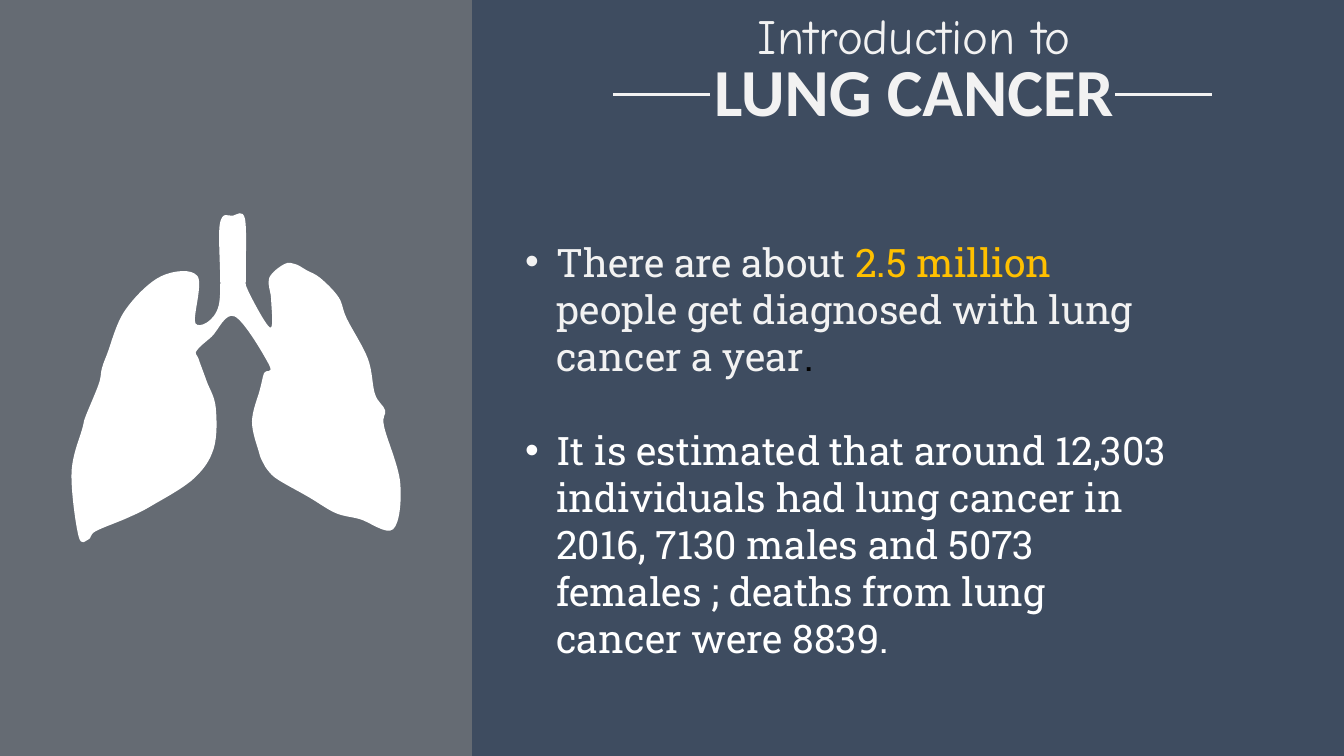
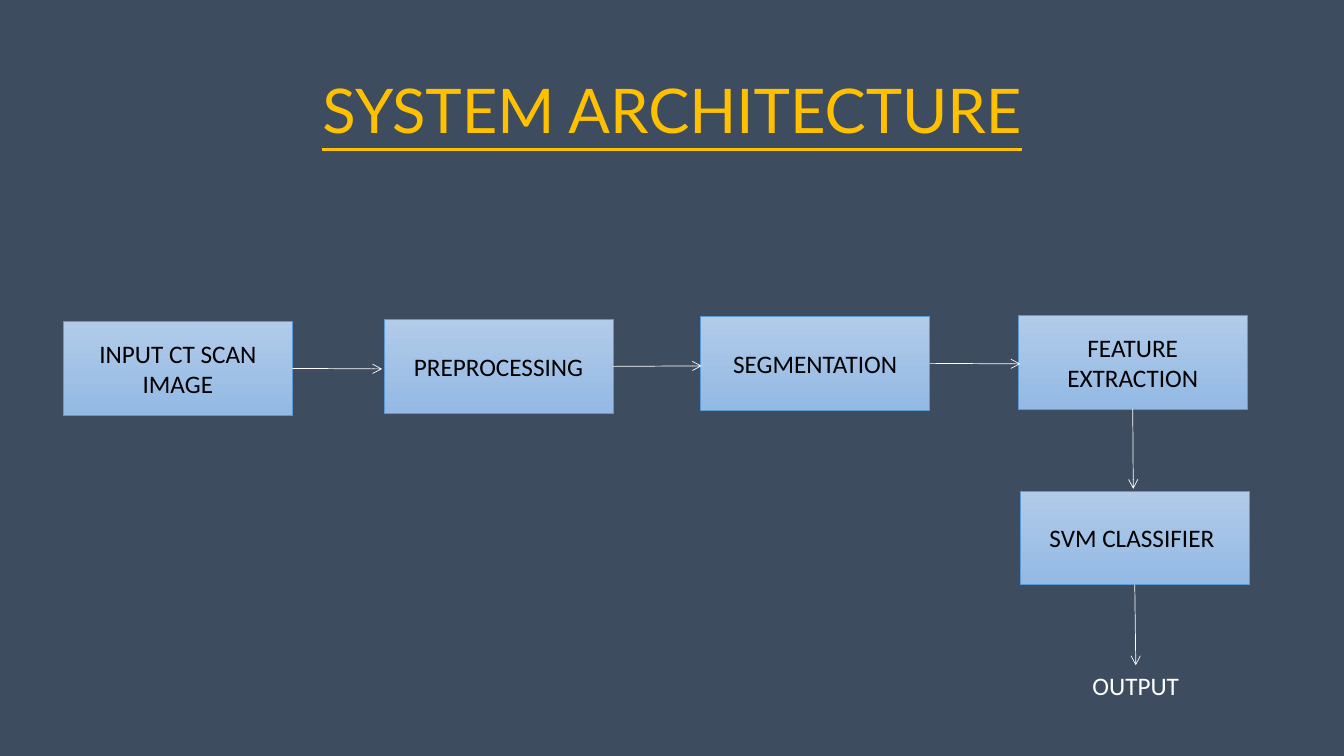
import pptx
import pptx.dml.color
import pptx.enum.shapes
import pptx.enum.text
import pptx.oxml
import pptx.oxml.ns
import pptx.util
from dataclasses import dataclass

Inches = pptx.util.Inches
Pt = pptx.util.Pt
SHAPE = pptx.enum.shapes.MSO_SHAPE
CENTER = pptx.enum.text.PP_ALIGN.CENTER
LEFT = pptx.enum.text.PP_ALIGN.LEFT
TOP = pptx.enum.text.MSO_ANCHOR.TOP
MIDDLE = pptx.enum.text.MSO_ANCHOR.MIDDLE
STRAIGHT = pptx.enum.shapes.MSO_CONNECTOR.STRAIGHT


@dataclass(frozen=True)
class Theme:
    background: str = "3E4C60"
    band: str = "808080"
    light: str = "F2F2F2"
    white: str = "FFFFFF"
    black: str = "000000"
    accent: str = "FFC000"
    box_top: str = "B1CBE9"
    box_bottom: str = "93B9E4"
    box_line: str = "5B9BD5"
    body_font: str = "Calibri"
    title_font: str = "Lato"
    script_font: str = "Comic Neue"
    slab_font: str = "Roboto Slab"
    headline: float = 48
    title: float = 44
    kicker: float = 35.1
    bullet: float = 28
    label: float = 18
    rule: float = 2.25
    thin: float = 0.5


THEME = Theme()

# Lung outline, clockwise from the left lung's shoulder, in inches
LUNGS = [
    (1.06, 3.52), (1.24, 3.08), (1.6, 2.74), (1.96, 2.74), (1.94, 3.21),
    (2.17, 3.03), (2.18, 2.23), (2.31, 2.14), (2.43, 2.17), (2.44, 2.72),
    (2.46, 2.88), (2.68, 3.25), (2.69, 2.97), (2.67, 2.76), (2.82, 2.62),
    (2.93, 2.62), (3.04, 2.68), (3.18, 2.76), (3.36, 2.95), (3.44, 3.16),
    (3.65, 3.56), (3.72, 3.91), (3.82, 4.07), (3.81, 4.23), (3.97, 4.79),
    (3.9, 5.25), (3.57, 5.15), (3.33, 5.09), (3.06, 4.93), (2.76, 4.76),
    (2.66, 4.67), (2.61, 4.59), (2.57, 4.49), (2.5, 4.18), (2.58, 3.86),
    (2.62, 3.7), (2.67, 3.62), (2.33, 3.14), (2.1, 3.34), (1.95, 3.48),
    (1.97, 3.56), (2.05, 3.78), (2.14, 4.04), (2.12, 4.45), (1.92, 4.75),
    (1.5, 5.02), (1.26, 5.14), (0.95, 5.27), (0.88, 5.35), (0.78, 5.32),
    (0.71, 4.69), (0.82, 4.24), (0.85, 4.13), (0.98, 3.81), (1.01, 3.66),
]


def rgb(color):
    return pptx.dml.color.RGBColor.from_string(color)


def add_xml(parent, tag, **attrs):
    el = pptx.oxml.parse_xml(
        '<a:%s xmlns:a="http://schemas.openxmlformats.org/drawingml/2006/main"/>' % tag)
    for name, value in attrs.items():
        el.set(name, str(value))
    parent.append(el)
    return el


def add_run(p, text, size=THEME.label, font=THEME.body_font, color=THEME.white,
            bold=False, underline=False):
    r = p.add_run()
    r.text = text
    r.font.size = Pt(size)
    r.font.name = font
    r.font.color.rgb = rgb(color)
    r.font.bold = bold
    r.font.underline = underline


def curve_segments(sp):
    """Turn a closed outline's straight segments into smooth Bezier curves."""
    segments = list(sp.element.iter(pptx.oxml.ns.qn("a:lnTo")))
    points = [(int(s[0].get("x")), int(s[0].get("y"))) for s in segments]
    n = len(points)
    for i, segment in enumerate(segments):
        a, b, c, d = (points[(i + k) % n] for k in (-2, -1, 0, 1))
        out = [round(q + (v - o) / 6) for o, q, v in zip(a, b, c)]
        back = [round(v - (w - q) / 6) for q, v, w in zip(b, c, d)]
        parent = segment.getparent()
        curve = add_xml(parent, "cubicBezTo")
        for x, y in (out, back, c):
            add_xml(curve, "pt", x=x, y=y)
        parent.replace(segment, curve)


class Deck:
    def __init__(self, theme):
        self.theme = theme
        self.prs = pptx.Presentation()
        self.prs.slide_width = Inches(13.33)
        self.prs.slide_height = Inches(7.5)
        self.slide = None

    def new_slide(self):
        self.slide = self.prs.slides.add_slide(self.prs.slide_layouts[6])
        fill = self.slide.background.fill
        fill.solid()
        fill.fore_color.rgb = rgb(self.theme.background)

    def text(self, x, y, w, h, text="", anchor=TOP, align=CENTER, spacing=None, **fmt):
        sp = self.slide.shapes.add_textbox(Inches(x), Inches(y), Inches(w), Inches(h))
        tf = sp.text_frame
        tf.word_wrap = True
        tf.vertical_anchor = anchor
        p = tf.paragraphs[0]
        p.alignment = align
        p.line_spacing = spacing
        if text:
            add_run(p, text, **fmt)
        return sp

    def title(self, x, y, w, h, text, **fmt):
        return self.text(x, y, w, h, text, anchor=MIDDLE, spacing=0.9, **fmt)

    def bullets(self, x, y, w, h, items, gap):
        tf = self.text(x, y, w, h, align=LEFT).text_frame
        for i, runs in enumerate(items):
            p = tf.add_paragraph() if i else tf.paragraphs[0]
            p.space_before = Pt(gap if i else 0)
            pPr = p._p.get_or_add_pPr()
            pPr.set("marL", str(Inches(0.31)))
            pPr.set("indent", str(-Inches(0.31)))
            add_xml(pPr, "buFont", typeface="Arial")
            add_xml(pPr, "buChar", char="•")
            for text, color in runs:
                add_run(p, text, size=self.theme.bullet, font=self.theme.slab_font,
                        color=color)

    def band(self, w, opacity):
        sp = self.slide.shapes.add_shape(
            SHAPE.RECTANGLE, 0, 0, Inches(w), self.prs.slide_height)
        self.paint(sp, self.theme.band)
        color = sp.element.spPr.find(".//" + pptx.oxml.ns.qn("a:srgbClr"))
        add_xml(color, "alpha", val=opacity * 1000)

    def paint(self, sp, color):
        sp.shadow.inherit = False
        sp.fill.solid()
        sp.fill.fore_color.rgb = rgb(color)
        sp.line.fill.background()

    def outline(self, points, color):
        corners = [(Inches(x), Inches(y)) for x, y in points]
        builder = self.slide.shapes.build_freeform(*corners[0])
        builder.add_line_segments(corners[1:] + corners[:1], close=True)
        sp = builder.convert_to_shape()
        curve_segments(sp)
        self.paint(sp, color)

    def box(self, x, y, text):
        sp = self.slide.shapes.add_shape(
            SHAPE.RECTANGLE, Inches(x), Inches(y), Inches(2.27), Inches(0.93))
        sp.shadow.inherit = False
        sp.fill.gradient()
        sp.fill.gradient_angle = 270
        shades = (self.theme.box_top, self.theme.box_bottom)
        for stop, (pos, color) in zip(sp.fill.gradient_stops, enumerate(shades)):
            stop.position = pos
            stop.color.rgb = rgb(color)
        sp.line.color.rgb = rgb(self.theme.box_line)
        sp.line.width = Pt(self.theme.thin)
        tf = sp.text_frame
        tf.word_wrap = True
        tf.vertical_anchor = MIDDLE
        tf.paragraphs[0].alignment = CENTER
        add_run(tf.paragraphs[0], text, color=self.theme.black)
        return sp

    def line(self, x1, y1, x2, y2, color, width):
        c = self.slide.shapes.add_connector(
            STRAIGHT, Inches(x1), Inches(y1), Inches(x2), Inches(y2))
        c.line.color.rgb = rgb(color)
        c.line.width = Pt(width)
        add_xml(c.element.spPr, "effectLst")
        return c

    def arrow(self, start, side, x, y):
        """Arrow from the middle of a box's side to a point."""
        c = self.line(x, y, x, y, self.theme.white, self.theme.thin)
        c.begin_connect(start, side)
        add_xml(c.get_or_add_ln(), "tailEnd", type="arrow")
        return c


def introduction(deck):
    t = deck.theme
    deck.new_slide()
    # Side band
    deck.band(4.68, 60)
    # Heading between two rules
    deck.title(5.11, 0.56, 7.91, 0.77, "LUNG CANCER", size=t.headline,
               color=t.light, bold=True)
    deck.text(5.91, 0, 6.32, 0.77, "Introduction to", size=t.kicker,
              font=t.script_font, color=t.light)
    for x in (11.06, 6.08):
        deck.line(x, 0.94, x + 0.96, 0.94, t.light, t.rule)
    # Facts
    deck.bullets(5.11, 2.31, 6.7, 4.81, [
        [("There are about ", t.light), ("2.5 million ", t.accent),
         ("people get diagnosed with lung cancer a year", t.light), (".", t.black)],
        [("It is estimated that around 12,303 individuals had lung cancer in 2016, "
          "7130 males and 5073 females ; deaths from lung cancer were 8839.", t.white)],
    ], gap=33.6)
    # Lungs
    deck.outline(LUNGS, t.white)


def architecture(deck):
    t = deck.theme
    deck.new_slide()
    deck.title(0.92, 0.4, 11.5, 1.45, "SYSTEM ARCHITECTURE", size=t.title,
               font=t.title_font, color=t.accent, underline=True)
    # Processing row and the classifier below its end
    scan, prep, segment, feature, classifier = [deck.box(*step) for step in (
        (0.63, 3.19, "INPUT CT SCAN IMAGE"),
        (3.81, 3.17, "PREPROCESSING"),
        (6.95, 3.14, "SEGMENTATION"),
        (10.1, 3.13, "FEATURE EXTRACTION"),
        (10.12, 4.87, "SVM CLASSIFIER "))]
    # Flow
    for start, side, x, y in ((scan, 3, 3.79, 3.66), (prep, 3, 6.96, 3.63),
                              (segment, 3, 10.12, 3.61), (feature, 2, 11.24, 4.85)):
        deck.arrow(start, side, x, y)
    last = deck.arrow(classifier, 2, 11.27, 6.6)
    output = deck.text(10.33, 6.6, 1.87, 0.4, "OUTPUT")
    last.end_connect(output, 0)


def main():
    deck = Deck(THEME)
    introduction(deck)
    architecture(deck)
    deck.prs.save("out.pptx")


if __name__ == "__main__":
    main()
